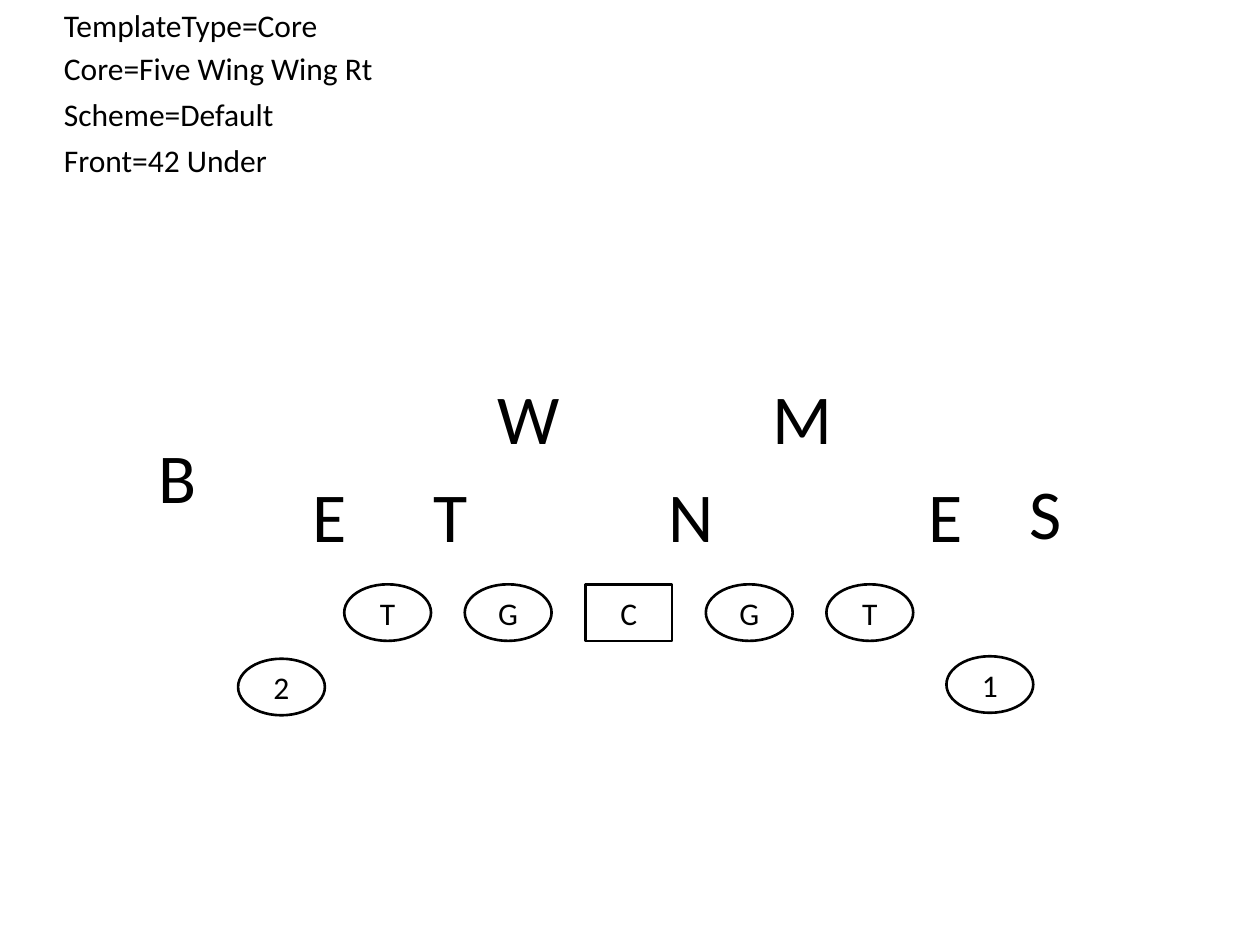
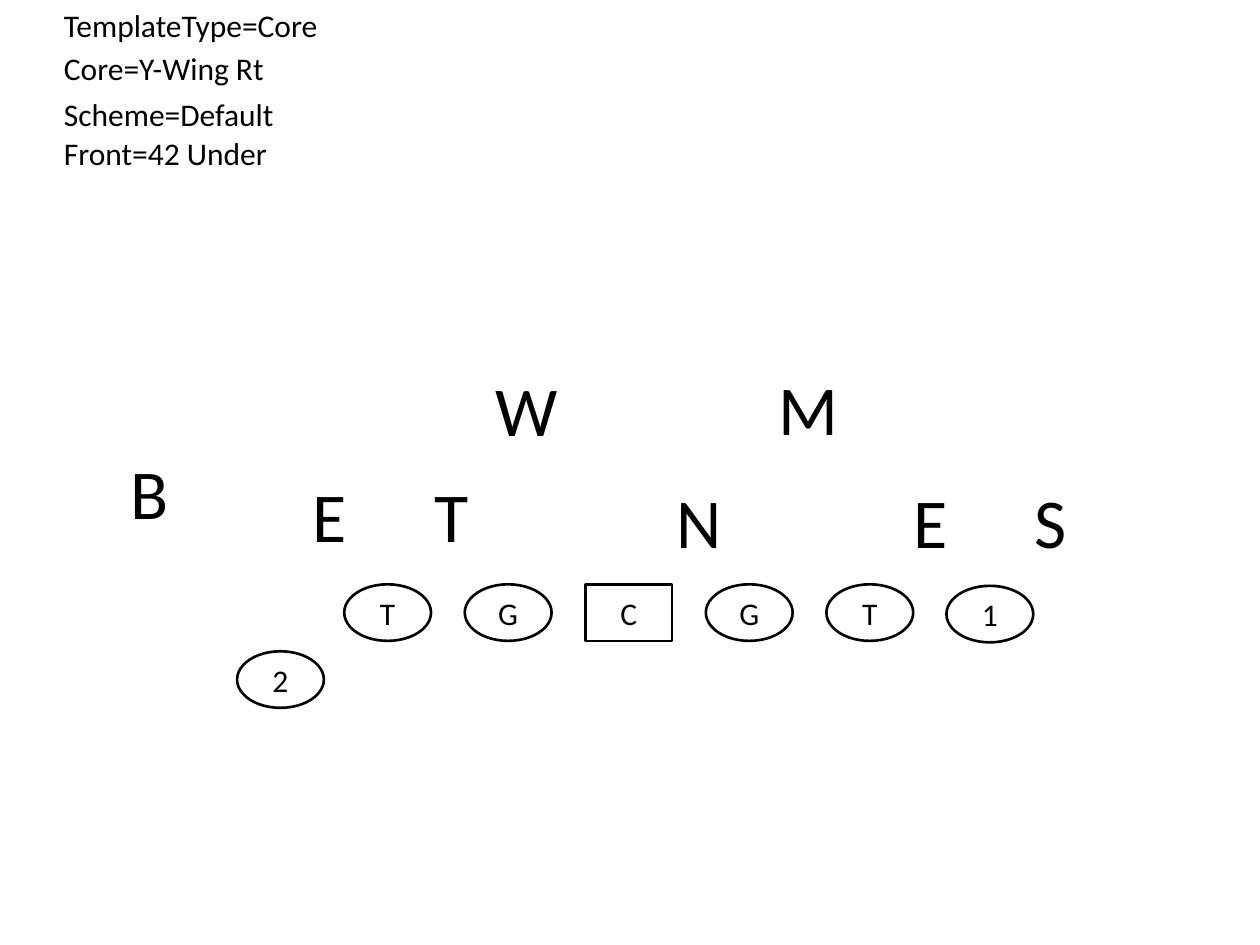
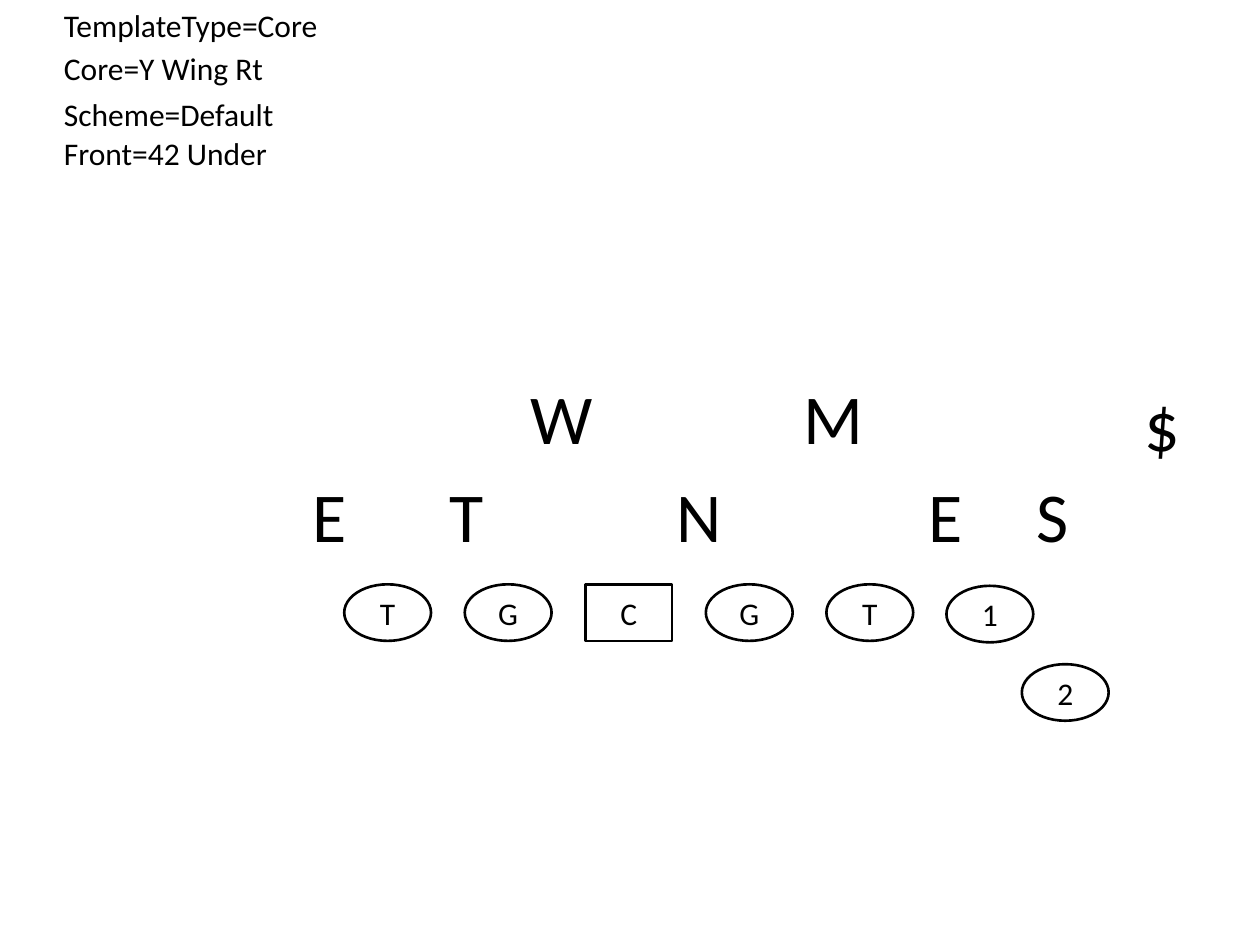
"""Build three football core diagrams: settings, offensive line and defensive front."""
from pptx import Presentation
from pptx.dml.color import RGBColor
from pptx.enum.shapes import MSO_SHAPE
from pptx.enum.text import MSO_ANCHOR, MSO_AUTO_SIZE, PP_ALIGN
from pptx.util import Cm, Pt

BLACK = RGBColor(0, 0, 0)
WHITE = RGBColor(255, 255, 255)

LABEL_FONT = {"name": "Calibri", "size": Pt(18)}
DEFENDER_FONT = {"name": "Calibri", "size": Pt(40)}
LABEL_FRAME = {"word_wrap": False, "auto_size": MSO_AUTO_SIZE.SHAPE_TO_FIT_TEXT}
PLAYER_FRAME = {"word_wrap": True, "vertical_anchor": MSO_ANCHOR.MIDDLE}

LABEL_LEFT, LABEL_HEIGHT = 1.04, 1.02
PLAYER_WIDTH, PLAYER_HEIGHT = 1.75, 1.14
LINE_LEFT, LINE_TOP, LINE_PITCH = 6.94, 11.78, 2.43
DEFENDER_HEIGHT = 1.96
DEFENDER_WIDTHS = {"N": 1.42, "T": 1.22, "E": 1.22, "W": 1.78,
                   "M": 1.78, "S": 1.2, "B": 1.3, "$": 1.24}

FORMATIONS = [
    {
        "core": ("Core=Five Wing Wing Rt", 6.81),
        "front_top": 2.72,
        "receivers": [("1", 19.08, 13.23), ("2", 4.8, 13.28)],
        "defenders": [("N", 13.23, 9.4), ("T", 8.48, 9.4), ("E", 18.47, 9.4),
                      ("E", 6.05, 9.4), ("W", 9.78, 7.42), ("M", 15.32, 7.42),
                      ("S", 20.5, 9.35), ("B", 2.95, 8.61)],
    },
    {
        "core": ("Core=Y-Wing Rt", 4.62),
        "front_top": 2.57,
        "receivers": [("1", 19.08, 11.81), ("2", 4.78, 13.13)],
        "defenders": [("N", 13.39, 9.53), ("T", 8.51, 9.4), ("E", 18.16, 9.53),
                      ("E", 6.05, 9.4), ("W", 9.73, 7.26), ("M", 15.44, 7.24),
                      ("S", 20.6, 9.53), ("B", 2.39, 8.94)],
    },
    {
        "core": ("Core=Y Wing Rt", 4.57),
        "front_top": 2.57,
        "receivers": [("1", 19.08, 11.81), ("2", 20.6, 13.39)],
        "defenders": [("N", 13.39, 9.4), ("T", 8.81, 9.4), ("E", 18.47, 9.4),
                      ("E", 6.05, 9.4), ("W", 10.44, 7.42), ("M", 15.95, 7.42),
                      ("S", 20.65, 9.4), ("$", 22.83, 7.57)],
    },
]


def write_text(shape, text, frame_format, font_format, alignment):
    text_frame = shape.text_frame
    for name, value in frame_format.items():
        setattr(text_frame, name, value)
    paragraph = text_frame.paragraphs[0]
    paragraph.alignment = alignment
    run = paragraph.add_run()
    run.text = text
    for name, value in font_format.items():
        setattr(run.font, name, value)
    run.font.color.rgb = BLACK


presentation = Presentation()
presentation.slide_width = Cm(25.4)
presentation.slide_height = Cm(19.05)
blank_layout = presentation.slide_layouts[6]

for formation in FORMATIONS:
    slide = presentation.slides.add_slide(blank_layout)

    core_text, core_width = formation["core"]
    labels = [
        ("TemplateType=Core", 0, 5.69),
        (core_text, 0.86, core_width),
        ("Scheme=Default", 1.8, 4.8),
        ("Front=42 Under", formation["front_top"], 4.65),
    ]
    for text, top, width in labels:
        label = slide.shapes.add_textbox(Cm(LABEL_LEFT), Cm(top), Cm(width), Cm(LABEL_HEIGHT))
        write_text(label, text, LABEL_FRAME, LABEL_FONT, PP_ALIGN.LEFT)

    linemen = [(position, LINE_LEFT + index * LINE_PITCH, LINE_TOP)
               for index, position in enumerate("TGCGT")]
    for position, left, top in linemen + formation["receivers"]:
        outline = MSO_SHAPE.RECTANGLE if position == "C" else MSO_SHAPE.OVAL
        player = slide.shapes.add_shape(
            outline, Cm(left), Cm(top), Cm(PLAYER_WIDTH), Cm(PLAYER_HEIGHT))
        player.shadow.inherit = False
        player.fill.solid()
        player.fill.fore_color.rgb = WHITE
        player.line.color.rgb = BLACK
        player.line.width = Pt(1.5)
        write_text(player, position, PLAYER_FRAME, LABEL_FONT, PP_ALIGN.CENTER)

    for position, left, top in formation["defenders"]:
        defender = slide.shapes.add_textbox(
            Cm(left), Cm(top), Cm(DEFENDER_WIDTHS[position]), Cm(DEFENDER_HEIGHT))
        write_text(defender, position, LABEL_FRAME, DEFENDER_FONT, PP_ALIGN.LEFT)

presentation.save("out.pptx")
